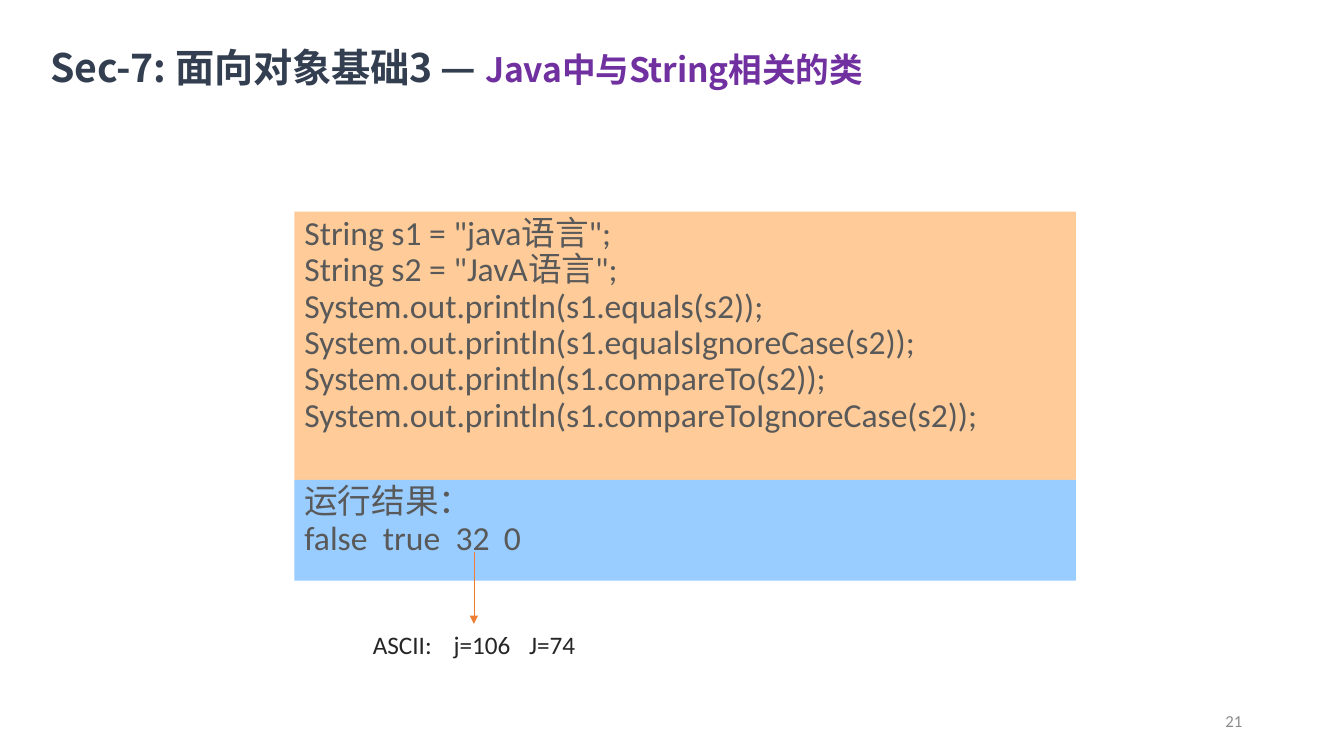
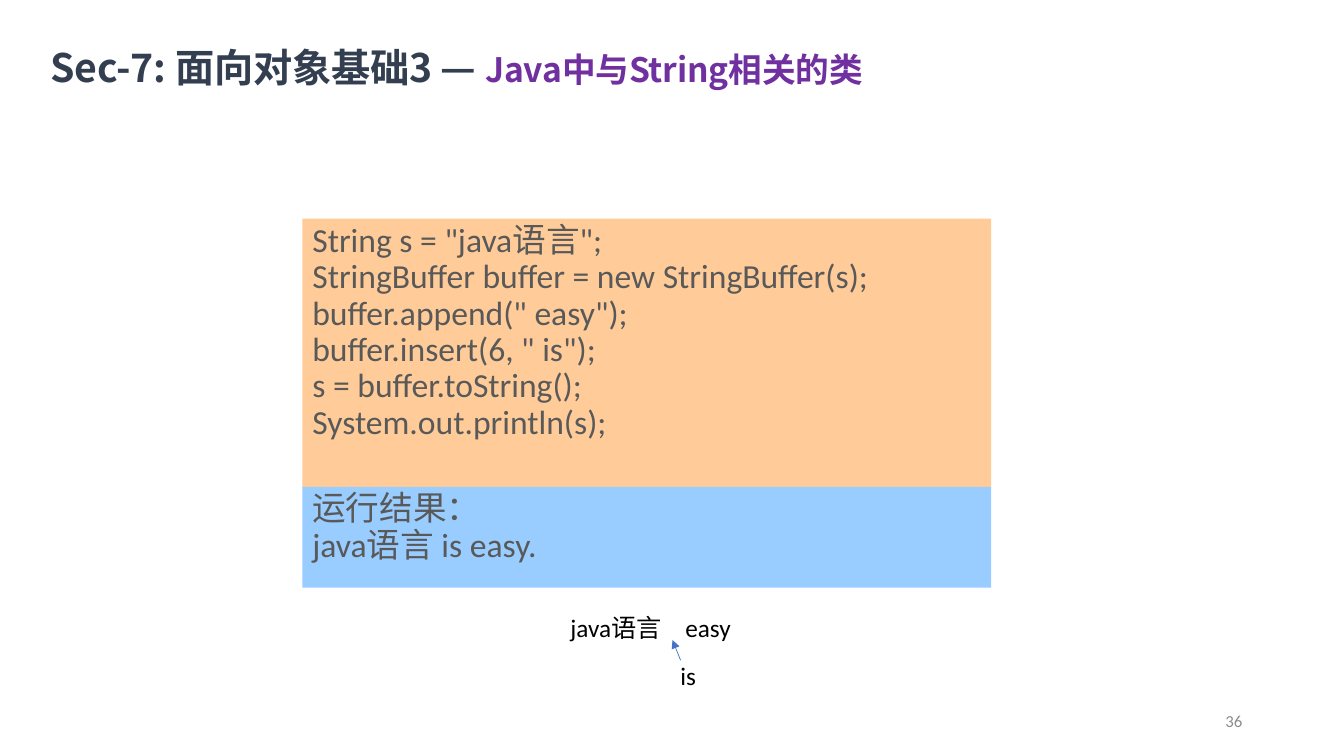
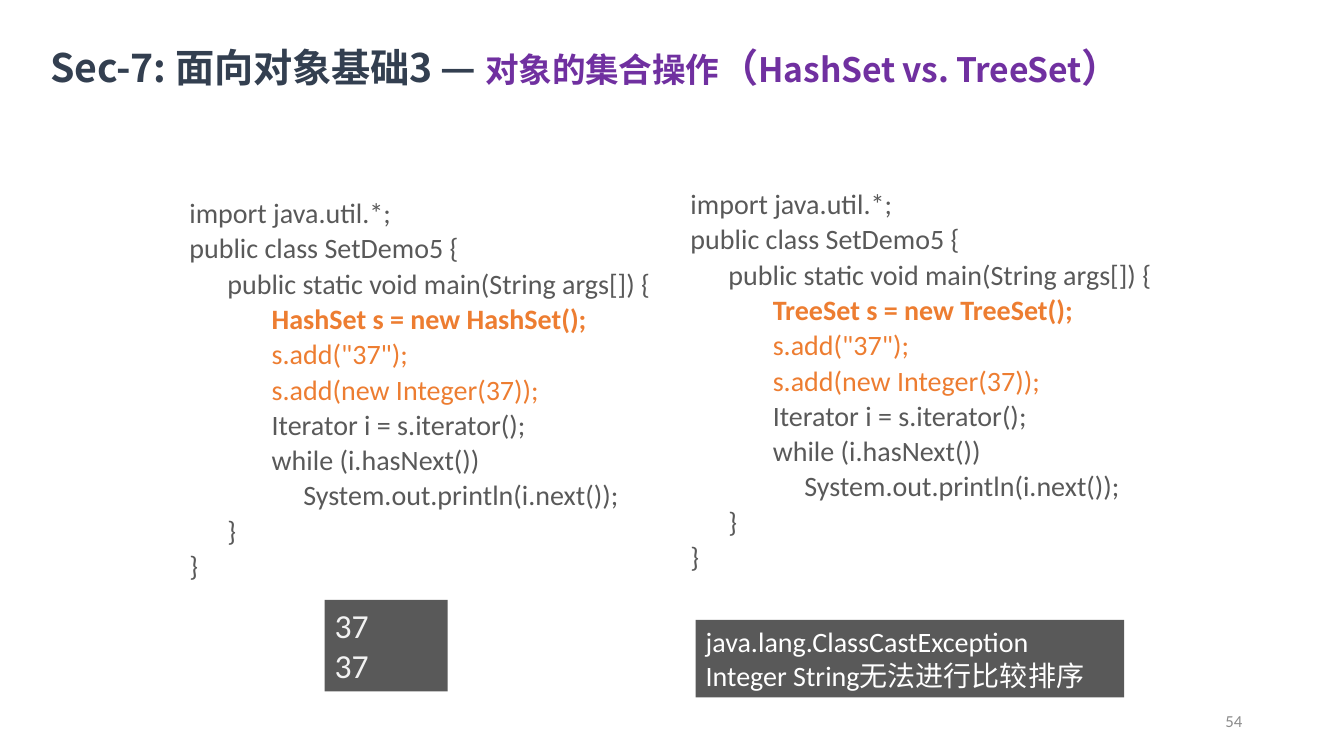
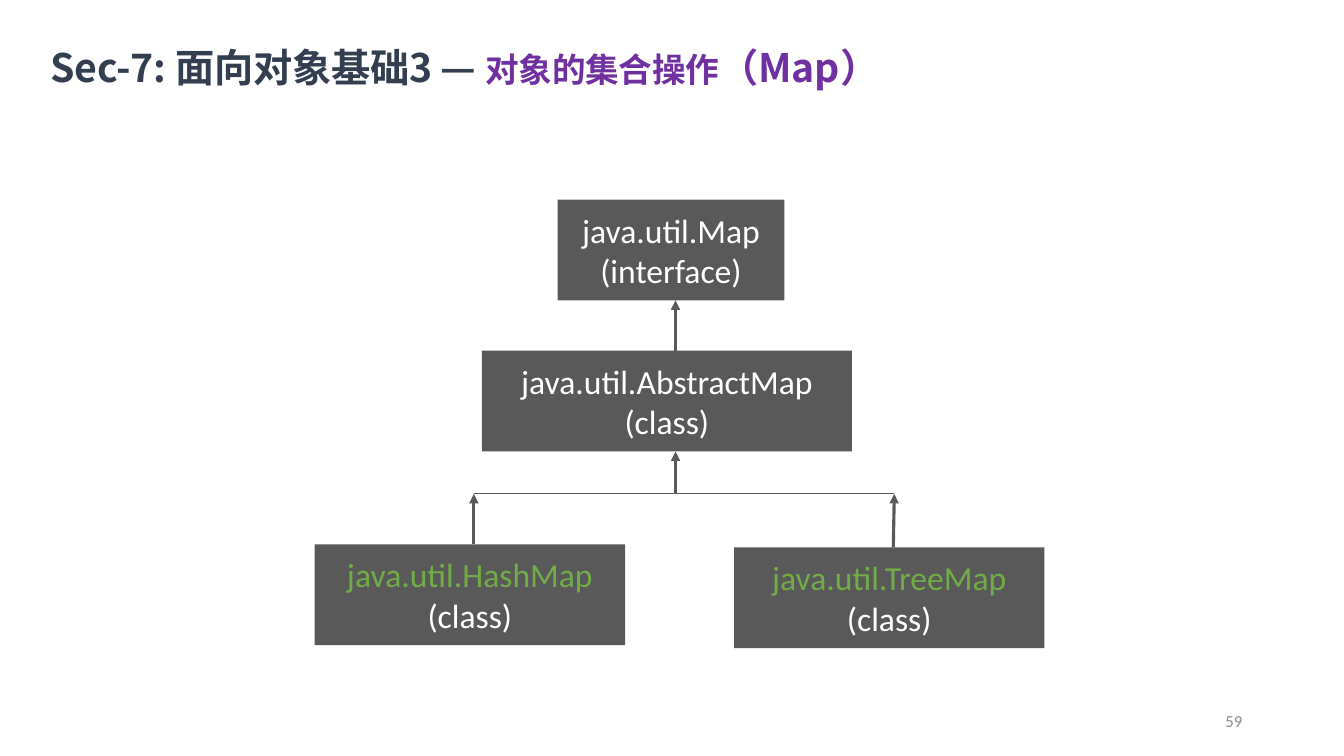
"""Build four Java course slides on strings and collections."""
from lxml import etree
from pptx import Presentation
from pptx.dml.color import RGBColor
from pptx.enum.shapes import MSO_CONNECTOR, MSO_SHAPE
from pptx.enum.text import MSO_ANCHOR, MSO_AUTO_SIZE, PP_ALIGN
from pptx.oxml.ns import qn
from pptx.util import Inches, Pt

RECT = MSO_SHAPE.RECTANGLE
STRAIGHT = MSO_CONNECTOR.STRAIGHT
TOP, MIDDLE = MSO_ANCHOR.TOP, MSO_ANCHOR.MIDDLE
LEFT, CENTER, RIGHT = PP_ALIGN.LEFT, PP_ALIGN.CENTER, PP_ALIGN.RIGHT
NAVY = RGBColor(0x33, 0x3F, 0x50)
PURPLE = RGBColor(0x70, 0x30, 0xA0)
PEACH = RGBColor(0xFF, 0xCC, 0x99)
SKY = RGBColor(0x99, 0xCC, 0xFF)
GRAY = RGBColor(0x59, 0x59, 0x59)
PALE = RGBColor(0x8C, 0x8C, 0x8C)
ORANGE = RGBColor(0xED, 0x7D, 0x31)
BLUE = RGBColor(0x44, 0x72, 0xC4)
GREEN = RGBColor(0x70, 0xAD, 0x47)
BLACK = RGBColor(0, 0, 0)
INK = RGBColor(0x26, 0x26, 0x26)
WHITE = RGBColor(0xFF, 0xFF, 0xFF)
SMOKE = RGBColor(0xF2, 0xF2, 0xF2)
HEAD_FONT, BODY_FONT = "Noto Sans CJK SC", "Calibri"


def add_box(slide, place, text, size, color, fill=None, align=LEFT,
            anchor=TOP, spacing=1.0, before=0, tabs=()):
    """Add a text box, or a filled rectangle, and return its paragraphs."""
    place = [Inches(v) for v in place]
    if fill is None:
        shape = slide.shapes.add_textbox(*place)
    else:
        shape = slide.shapes.add_shape(RECT, *place)
        shape.shadow.inherit = False
        shape.fill.solid()
        shape.fill.fore_color.rgb = fill
        shape.line.fill.background()
    frame = shape.text_frame
    frame.word_wrap = True
    frame.vertical_anchor = anchor
    frame.text = text
    for i, par in enumerate(frame.paragraphs):
        if tabs:
            stops = etree.SubElement(par._p.get_or_add_pPr(), qn("a:tabLst"))
            for stop in tabs:
                etree.SubElement(stops, qn("a:tab"), pos=str(Inches(stop)), algn="l")
        par.alignment = align
        par.line_spacing = spacing
        if i and before:
            par.space_before = Pt(before)
        for run in par.runs:
            run.font.name = BODY_FONT
            run.font.size = Pt(size)
            run.font.color.rgb = color
    return frame.paragraphs


def add_line(slide, ends, color, width, arrow=True):
    """Add a straight line, with an arrowhead at its end unless told not to."""
    line = slide.shapes.add_connector(STRAIGHT, *[Inches(v) for v in ends])
    line.line.color.rgb = color
    line.line.width = Pt(width)
    if arrow:
        etree.SubElement(line.line._get_or_add_ln(), qn("a:tailEnd"), type="triangle")
    etree.SubElement(line._element.spPr, qn("a:effectLst"))


prs = Presentation()
prs.slide_width, prs.slide_height = Inches(13.33), Inches(7.5)

string_topic = [("Java中与String相关的类", 24)]
set_topic = [("对象的集合操作", 24), ("（", 28), ("HashSet vs. TreeSet", 24), ("）", 28)]
map_topic = [("对象的集合操作", 24), ("（Map）", 28)]
pages = [(21, string_topic), (36, string_topic), (54, set_topic), (59, map_topic)]
slides = []
for number, topic in pages:
    slide = prs.slides.add_slide(prs.slide_layouts[5])
    title = slide.shapes.title
    title.left, title.top = Inches(0.5), Inches(0.42)
    title.width, title.height = Inches(10.66), Inches(0.48)
    frame = title.text_frame
    frame.margin_left = frame.margin_right = frame.margin_bottom = 0
    frame.margin_top = Inches(0.01)
    frame.vertical_anchor = TOP
    frame.auto_size = MSO_AUTO_SIZE.NONE
    frame.word_wrap = True
    par = frame.paragraphs[0]
    par.alignment = LEFT
    for i, (text, size) in enumerate([("Sec-7: 面向对象基础3 — ", 28)] + topic):
        run = par.add_run()
        run.text = text
        run.font.name = HEAD_FONT
        run.font.size = Pt(size)
        run.font.bold = True
        run.font.color.rgb = PURPLE if i else NAVY
        run._r.get_or_add_rPr().set("spc", "-10")
    add_box(slide, (9.42, 6.95, 3, 0.4), str(number), 12, PALE,
            align=RIGHT, anchor=MIDDLE)
    slides.append(slide)
equal, buffer, sets, maps = slides

equal_code = """String s1 = "java语言";
String s2 = "JavA语言";
System.out.println(s1.equals(s2));
System.out.println(s1.equalsIgnoreCase(s2));
System.out.println(s1.compareTo(s2));
System.out.println(s1.compareToIgnoreCase(s2));"""
buffer_code = """String s = "java语言";
StringBuffer buffer = new StringBuffer(s);
buffer.append(" easy");
buffer.insert(6, " is");
s = buffer.toString();
System.out.println(s);"""
demos = [
    (equal, 2.92, 2.1, 7.75, equal_code, "false\ttrue\t32\t0", (0.78, 1.5, 1.98)),
    (buffer, 3, 2.17, 6.83, buffer_code, "java语言 is easy.", ()),
]
for slide, left, top, width, code, result, tabs in demos:
    add_box(slide, (left, top, width, 2.67), code, 24, GRAY, PEACH, spacing=0.9)
    add_box(slide, (left, top + 2.66, width, 1), "运行结果：\n" + result, 24, GRAY,
            SKY, spacing=0.9, tabs=tabs)

add_line(equal, (4.7, 5.48, 4.7, 6.19), ORANGE, 0.5)
add_box(equal, (3.6, 6.19, 3.23, 0.4), "ASCII:\tj=106\tJ=74", 18, INK, tabs=(0.8, 1.55))

add_box(buffer, (5.56, 6.03, 4.57, 0.4), "java语言\teasy", 18, BLACK, tabs=(1.14,))
add_line(buffer, (6.75, 6.55, 6.67, 6.35), BLUE, 0.5)
add_box(buffer, (6.65, 6.5, 0.47, 0.4), "is", 18, BLACK)

set_code = """import java.util.*;
public class SetDemo5 {
      public static void main(String args[]) {
             KIND s = new KIND();
             s.add("37");
             s.add(new Integer(37));
             Iterator i = s.iterator();
             while (i.hasNext())
                  System.out.println(i.next());
      }
}"""
for kind, left, top in [("HashSet", 1.78, 1.93), ("TreeSet", 6.75, 1.84)]:
    pars = add_box(sets, (left, top, 5.51, 4.11), set_code.replace("KIND", kind),
                   20, GRAY, spacing=0.9, before=3.6)
    for par in pars[3:6]:
        par.runs[0].font.color.rgb = ORANGE
    pars[3].runs[0].font.bold = True
add_box(sets, (3.22, 5.95, 1.22, 0.91), "37\n37", 24, SMOKE, GRAY)
add_box(sets, (6.9, 6.15, 4.25, 0.77),
        "java.lang.ClassCastException\nInteger String无法进行比较排序", 20, WHITE, GRAY)

nodes = [
    (5.53, 1.98, 2.25, "java.util.Map\n(interface)", WHITE),
    (4.78, 3.48, 3.67, "java.util.AbstractMap\n(class)", WHITE),
    (3.12, 5.4, 3.08, "java.util.HashMap\n(class)", GREEN),
    (7.28, 5.43, 3.08, "java.util.TreeMap\n(class)", GREEN),
]
for left, top, width, text, color in nodes:
    pars = add_box(maps, (left, top, width, 1), text, 24, WHITE, GRAY,
                   align=CENTER, anchor=MIDDLE)
    pars[0].runs[0].font.color.rgb = color
add_line(maps, (4.7, 4.9, 8.87, 4.9), GRAY, 0.75, arrow=False)
for ends in [(6.7, 3.48, 6.7, 2.98), (6.7, 4.9, 6.7, 4.48),
             (4.7, 5.4, 4.7, 4.9), (8.86, 5.43, 8.87, 4.9)]:
    add_line(maps, ends, GRAY, 2.25)

prs.save("out.pptx")
